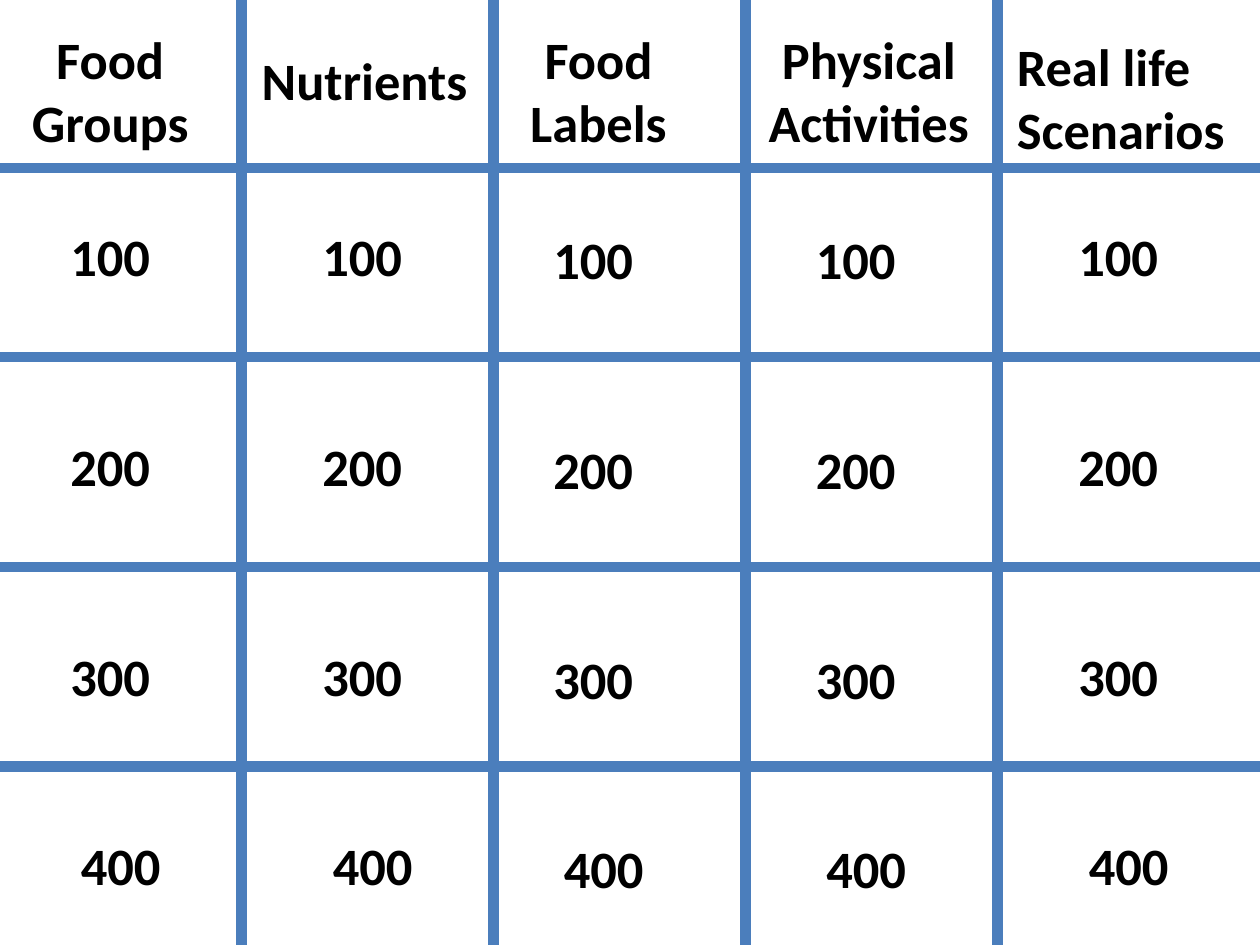
from pptx import Presentation
from pptx.dml.color import RGBColor
from pptx.enum.shapes import MSO_CONNECTOR as Connector
from pptx.enum.text import MSO_AUTO_SIZE as AutoSize, PP_ALIGN as Align
from pptx.oxml.ns import qn
from pptx.util import Pt
from lxml import etree

THEME = {
    "line": RGBColor(0x4B, 0x7E, 0xBC),
    "line_width": Pt(6),
    "font": {"name": "Calibri", "size": Pt(30), "bold": True},
    "text": RGBColor(0, 0, 0),
}
WIDTH, HEIGHT = 720, 540

deck = Presentation()
deck.slide_width, deck.slide_height = Pt(WIDTH), Pt(HEIGHT)
page = deck.slides.add_slide(deck.slide_layouts[6])


def add_rule(*ends):
    rule = page.shapes.add_connector(Connector.STRAIGHT, *map(Pt, ends))
    rule.line.color.rgb = THEME["line"]
    rule.line.width = THEME["line_width"]
    etree.SubElement(rule._element.spPr, qn("a:effectLst"))


def add_label(text, left, top, width, height, align=Align.CENTER, wrap=True):
    box = page.shapes.add_textbox(*map(Pt, (left, top, width, height)))
    frame = box.text_frame
    frame.word_wrap = wrap
    frame.auto_size = AutoSize.SHAPE_TO_FIT_TEXT
    para = frame.paragraphs[0]
    para.alignment = align
    span = para.add_run()
    span.text = text
    for name, value in THEME["font"].items():
        setattr(span.font, name, value)
    span.font.color.rgb = THEME["text"]


# Board grid
for column in range(4):
    x = 138 + 144 * column
    add_rule(x, 0, x, HEIGHT)
for y in (96, 204, 324, 438):
    add_rule(WIDTH, y, 0, y)

# Category headings
headings = [
    ("Food Groups", -12, 12, 150, 80),
    ("Nutrients", 142.5, 24, 133, 44, Align.LEFT, False),
    ("Food Labels", 276, 12, 132, 80),
    ("Physical Activities", 405.5, 12, 182, 80),
    ("Real life Scenarios", 574, 16, 157.5, 80, Align.LEFT),
]
for heading in headings:
    add_label(*heading)

# Point values: (left, drop) per column and (top, shift) per row
columns = [(-12, 0), (132, 0), (264, 2), (414, 2), (564, 0)]
rows = {"100": (124.25, 0), "200": (244.25, 0), "300": (364.25, 0), "400": (472.25, 6)}
for left, drop in columns:
    for points, (top, shift) in rows.items():
        add_label(points, left + shift, top + drop, 150, 44)

deck.save("out.pptx")
